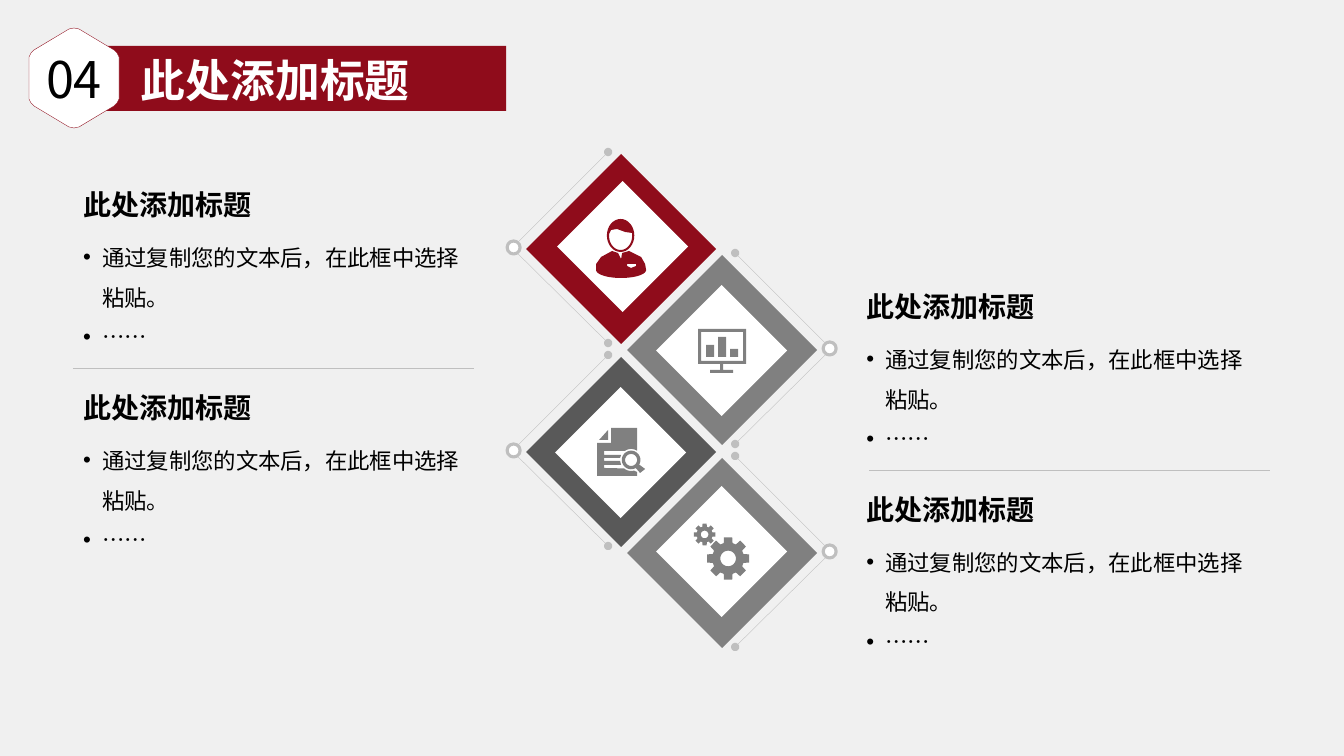
from math import cos, sin, radians
from pptx import Presentation, util as u
from pptx.dml.color import RGBColor
from pptx.enum import shapes, text
from pptx.oxml.ns import qn
from lxml import etree

RED = RGBColor(0x8F, 0x0C, 0x1B)
GRAY = RGBColor(0x80, 0x80, 0x80)
DARK = RGBColor(0x59, 0x59, 0x59)
PALE = RGBColor(0xBF, 0xBF, 0xBF)
WHITE = RGBColor(0xFF, 0xFF, 0xFF)
BLACK = RGBColor(0, 0, 0)
BACK = RGBColor(0xF0, 0xF0, 0xF0)
FONT = "Noto Sans CJK SC"
PX = 914400 / 100.8
HEAD = "此处添加标题"
ITEMS = ["通过复制您的文本后，在此框中选择粘贴。", "……"]


def emu(*vals):
    return [u.Emu(round(v * PX)) for v in vals]


def apply(obj, **vals):
    for key, val in vals.items():
        setattr(obj, key, val)


def arc(x, y, rx, ry, start=0, end=360, steps=32):
    turns = [radians(start + (end - start) * i / steps) for i in range(steps + 1)]
    return [(x + rx * cos(t), y + ry * sin(t)) for t in turns]


def box(l, t, r, b):
    return [(l, t), (r, t), (r, b), (l, b)]


def gear(x, y, out, root, hole):
    teeth = []
    for i in range(8):
        for turn, rad in ((-16, root), (-11, out), (11, out), (16, root)):
            t = radians(45 * i + turn)
            teeth.append((x + rad * cos(t), y + rad * sin(t)))
    return [teeth, arc(x, y, hole, hole)]


class Deck:
    def __init__(self):
        self.prs = Presentation()
        apply(self.prs, slide_width=u.Inches(13.33), slide_height=u.Inches(7.5))
        self.slide = self.prs.slides.add_slide(self.prs.slide_layouts[4])
        fill = self.slide.background.fill
        fill.solid()
        fill.fore_color.rgb = BACK
        self.tree = self.slide.shapes
        self.title, *self.lists = self.slide.placeholders

    def paint(self, shape, fill, line=None, width=0):
        shape.shadow.inherit = False
        shape.fill.solid()
        shape.fill.fore_color.rgb = fill
        if line is None:
            shape.line.fill.background()
        else:
            shape.line.color.rgb = line
            shape.line.width = u.Pt(width)
        return shape

    def shape(self, kind, x, y, w, h, *look):
        return self.paint(self.tree.add_shape(kind, *emu(x, y, w, h)), *look)

    def free(self, paths, *look):
        first, *rest = [[emu(*p) for p in path] for path in paths]
        pen = self.tree.build_freeform(*first[0], scale=1.0)
        pen.add_line_segments(first[1:], close=True)
        for path in rest:
            pen.move_to(*path[0])
            pen.add_line_segments(path[1:], close=True)
        return self.paint(pen.convert_to_shape(), *look)

    def line(self, x1, y1, x2, y2, dot=False):
        line = self.tree.add_connector(shapes.MSO_CONNECTOR.STRAIGHT, *emu(x1, y1, x2, y2))
        line.line.color.rgb = PALE
        line.line.width = u.Pt(0.25)
        if dot:
            etree.SubElement(line.line._get_or_add_ln(), qn("a:tailEnd"), type="oval")
        etree.SubElement(line._element.spPr, qn("a:effectLst"))

    def place(self, shape, x, y, w, h, **frame):
        """Move a placeholder, bring it forward and format its frame."""
        for key, val in zip(("left", "top", "width", "height"), emu(x, y, w, h)):
            setattr(shape, key, val)
        self.tree._spTree.append(shape._element)
        base = dict(auto_size=text.MSO_AUTO_SIZE.NONE, word_wrap=True,
                    vertical_anchor=text.MSO_ANCHOR.TOP)
        apply(shape.text_frame, **{**base, **frame})
        return shape.text_frame

    def para(self, par, words, size, color=BLACK, bold=False, bullet=False, **form):
        base = dict(alignment=text.PP_ALIGN.LEFT, space_before=u.Pt(0))
        apply(par, **{**base, **form})
        run = par.add_run()
        run.text = words
        run.font.color.rgb = color
        apply(run.font, name=FONT, size=u.Pt(size), bold=bold)
        etree.SubElement(run._r.get_or_add_rPr(), qn("a:ea"), typeface=FONT)
        prop = par._p.get_or_add_pPr()
        gap = emu(19)[0] if bullet else 0
        prop.set("marL", str(gap))
        prop.set("indent", str(-gap))
        if bullet:
            etree.SubElement(prop, qn("a:buFont"), typeface="Arial")
            etree.SubElement(prop, qn("a:buChar"), char="•")
        else:
            etree.SubElement(prop, qn("a:buNone"))

    def block(self, shape, x, y):
        """A bold heading with its bullet list."""
        frame = self.place(shape, x, y, 414, 180)
        pitch = u.Pt(28.5)
        self.para(frame.paragraphs[0], HEAD, 20, bold=True,
                  line_spacing=pitch, space_after=u.Pt(7))
        for item in ITEMS:
            self.para(frame.add_paragraph(), item, 16, bullet=True,
                      line_spacing=pitch, space_after=u.Pt(0))

    def tile(self, x, y, fill, inset, right):
        """A framed diamond with its bracket on the outer side."""
        def side(dx):
            return x + (190 - dx if right else dx)
        kind = shapes.MSO_SHAPE
        self.shape(kind.DIAMOND, x, y, 190, 190, fill)
        for end in (-2, 189):
            self.line(side(-14), y + 94, side(82), y + end, dot=True)
        self.shape(kind.OVAL, side(-12.5) - 6.5, y + 87, 13, 13, WHITE, PALE, 2.25)
        dx, dy = inset
        self.shape(kind.DIAMOND, x + dx, y + dy, 131, 131, WHITE)


deck = Deck()

# Diamonds and text blocks, alternating left and right
TILES = [(RED, (31, 27)), (GRAY, (29, 30)), (DARK, (29, 30)), (GRAY, (29, 28))]
for i, (fill, inset) in enumerate(TILES):
    right = i % 2 == 1
    deck.tile(627 if right else 526, round(154 + 101.4 * i), fill, inset, right)
    deck.block(deck.lists[i], 856 if right else 73, 176 + round(101.6 * i))

# Dividers
for x, y in ((73, 368), (869, 470)):
    deck.line(x, y, x + 401, y)

# Person icon
head = arc(620.5, 235.5, 13.7, 16.5)
face = arc(620.5, 236, 11.5, 14, 180, 0) + [(632, 233), (625, 232), (617, 229), (611, 230), (609, 234)]
coat = [(596, 264), (601, 257), (612, 251), (618, 253), (621, 259), (622, 253),
        (629, 251), (641, 257), (645, 264)] + arc(621, 270, 25, 8, 0, 180)
badge = [(627, 264), (627, 266), (631, 268), (636, 266), (636, 264)]
deck.free([head, face, coat, badge], RED)

# Document icon
lens = arc(631, 460, 6, 6)
glass = arc(631, 460, 9.3, 9.3, 60, 390) + [(645, 469), (640, 473)]
fold = [(608, 430), (608, 440), (599, 440)]
page = ([(611, 428), (637, 428)] + arc(631, 460, 11, 11, -57, -125, 8)
        + [(604, 451), (604, 455), (621, 455), (620, 458), (604, 458), (604, 461),
           (620, 461), (621, 465), (604, 465), (604, 468)]
        + arc(631, 460, 11, 11, 130, 75, 8)
        + [(637, 472), (637, 476), (597, 476), (597, 443), (611, 443)])
deck.free([page, fold, glass, lens], GRAY)

# Monitor icon
frame = [(698, 329), (746, 329), (746, 364), (723, 364), (723, 370), (733, 370),
         (733, 373), (710, 373), (710, 370), (720, 370), (720, 364), (698, 364)]
bars = [box(x, y, x + 8, 357) for x, y in ((706, 345), (718, 337), (730, 349))]
deck.free([frame, box(701, 332, 743, 361), *bars], GRAY)

# Gears icon
deck.free(gear(728, 558.5, 21.5, 16, 7.8) + gear(704.5, 534.5, 11, 8, 3.8), GRAY)

# Title band and number
deck.shape(shapes.MSO_SHAPE.RECTANGLE, 100, 46, 406, 65, RED)
part = [(45, -21), (43, -25), (40, -28), (5, -49), (0, -50)]
half = part + [(-x, y) for x, y in part[-2::-1]]
ring = half + [(-x, -y) for x, y in half]
hexa = deck.free([[(74 + x, 78 + y) for x, y in ring]], WHITE, RED, 0.25)
apply(hexa.text_frame, word_wrap=False, vertical_anchor=text.MSO_ANCHOR.MIDDLE,
      margin_left=0, margin_right=0, margin_top=0, margin_bottom=0)
deck.para(hexa.text_frame.paragraphs[0], "04", 36, alignment=text.PP_ALIGN.CENTER)
name = deck.place(deck.title, 129, 48, 291, 64, word_wrap=False)
deck.para(name.paragraphs[0], HEAD, 32, WHITE, True,
          alignment=text.PP_ALIGN.RIGHT, line_spacing=u.Pt(38.5))

deck.prs.save("out.pptx")
